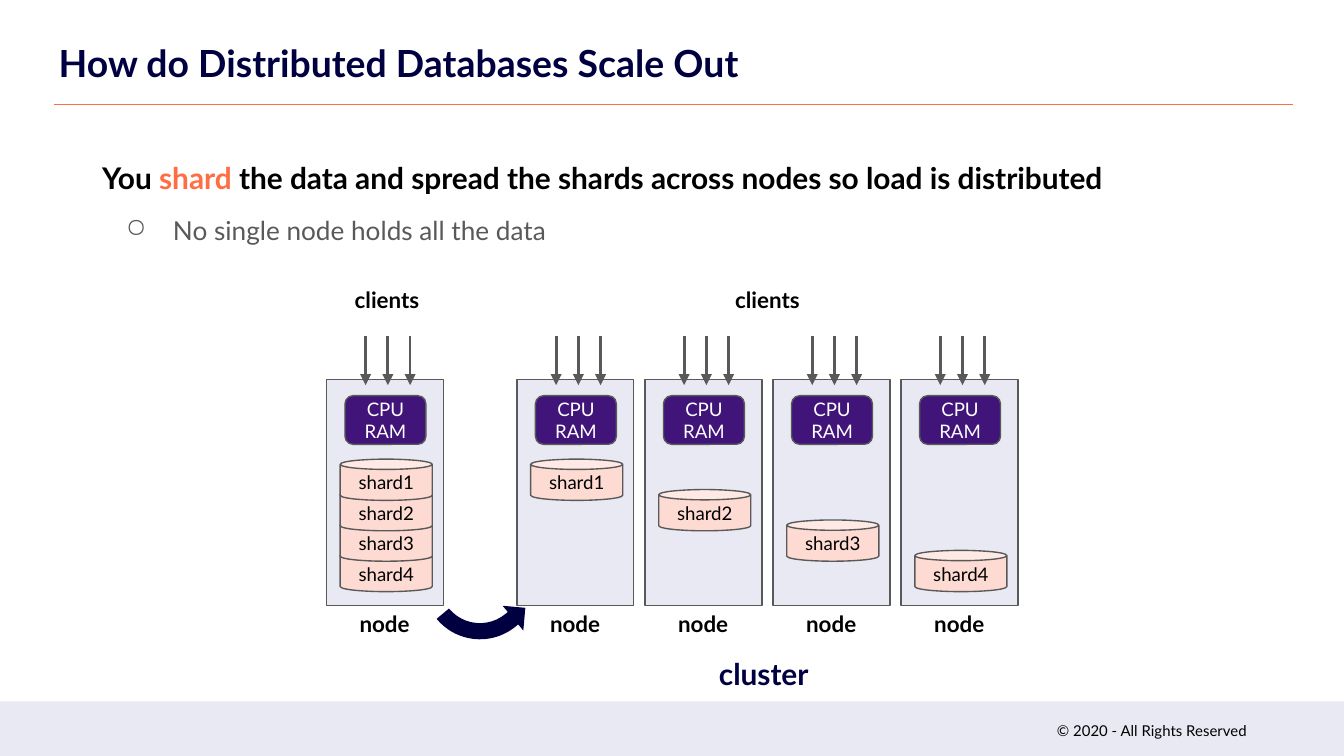
from lxml.etree import SubElement
from pptx import Presentation
from pptx.dml.color import RGBColor
from pptx.enum.shapes import MSO_CONNECTOR, MSO_SHAPE
from pptx.enum.text import MSO_ANCHOR, MSO_AUTO_SIZE, PP_ALIGN
from pptx.oxml.ns import qn
from pptx.util import Cm, Pt

NAVY = RGBColor(0x00, 0x00, 0x41)
ORANGE = RGBColor(0xFF, 0x6E, 0x42)
PURPLE = RGBColor(0x41, 0x14, 0x7A)
PEACH = RGBColor(0xFE, 0xDB, 0xD2)
LAVENDER = RGBColor(0xE8, 0xE9, 0xF3)
GRAY = RGBColor(0x59, 0x59, 0x59)
BLACK = RGBColor(0x00, 0x00, 0x00)
WHITE = RGBColor(0xFF, 0xFF, 0xFF)

prs = Presentation()
prs.slide_width, prs.slide_height = Cm(25.4), Cm(14.29)
s = prs.slides.add_slide(prs.slide_layouts[5])


def write(sp, runs, size, bold=False, align=PP_ALIGN.CENTER, anchor=MSO_ANCHOR.TOP):
    """Fill sp with one paragraph of (text, colour) runs; a None run is a line break."""
    tf = sp.text_frame
    tf.word_wrap = True
    tf.auto_size = MSO_AUTO_SIZE.NONE
    tf.vertical_anchor = anchor
    tf.margin_left = tf.margin_right = tf.margin_top = tf.margin_bottom = Cm(0.25)
    p = tf.paragraphs[0]
    p.alignment = align
    for run in runs:
        if run is None:
            p.add_line_break()
            continue
        r = p.add_run()
        r.text, r.font.color.rgb = run
        r.font.name, r.font.size, r.font.bold = "Lato", Pt(size), bold
    return p


def add_box(kind, x, y, w, h, fill, outline=True):
    sp = s.shapes.add_shape(kind, Cm(x), Cm(y), Cm(w), Cm(h))
    sp.shadow.inherit = False
    sp.fill.solid()
    sp.fill.fore_color.rgb = fill
    if outline:
        sp.line.color.rgb = GRAY
        sp.line.width = Pt(0.75)
    else:
        sp.line.fill.background()
    return sp


# Footer
add_box(MSO_SHAPE.RECTANGLE, 0, 13.26, 25.4, 1.03, LAVENDER, outline=False)
footer = s.shapes.add_textbox(Cm(18.54), Cm(13.36), Cm(5.28), Cm(0.91))
write(footer, [("© 2020 - All Rights Reserved", BLACK)], 8,
      align=PP_ALIGN.RIGHT, anchor=MSO_ANCHOR.MIDDLE)

# Title, subtitle and bullet
title = s.shapes.title
title.left, title.top, title.width, title.height = Cm(0.86), Cm(0.51), Cm(23.67), Cm(1.6)
write(title, [("How do Distributed Databases Scale Out", NAVY)], 20, True, PP_ALIGN.LEFT)

subtitle = s.shapes.add_textbox(Cm(1.68), Cm(2.24), Cm(22.07), Cm(1.88))
p = write(subtitle, [
    ("You ", BLACK),
    ("shard", ORANGE),
    (" the data and spread the shards across nodes so load is distributed", BLACK),
], 16, True, PP_ALIGN.LEFT, MSO_ANCHOR.MIDDLE)
p.line_spacing = 1.15
subtitle.text_frame.margin_bottom = 0

body = s.shapes.add_textbox(Cm(1.75), Cm(3.71), Cm(10.8), Cm(1.6))
p = write(body, [("No single node holds all the data", GRAY)], 14, align=PP_ALIGN.LEFT)
p.line_spacing = 1.15
pPr = p._p.get_or_add_pPr()
pPr.set("marL", str(Cm(1.27)))
pPr.set("indent", str(Cm(-0.89)))
bullet_color = SubElement(pPr, qn("a:buClr"))
SubElement(bullet_color, qn("a:srgbClr")).set("val", str(GRAY))
SubElement(pPr, qn("a:buChar")).set("char", "○")

# Labels
for text, x, y, w, size, color in [
    ("clients", 6.35, 5.16, 1.93, 12, BLACK),
    ("clients", 13.54, 5.16, 1.93, 12, BLACK),
    ("cluster", 13, 12.14, 2.87, 16, NAVY),
]:
    label = s.shapes.add_textbox(Cm(x), Cm(y), Cm(w), Cm(0.91))
    write(label, [(text, color)], size, True)

# Single node with every shard, then a cluster with one shard per node
lines = [(1.02, 1.98, 24.43, 1.98)]
nodes = [(6.17, [4, 3, 2, 1])] + [(9.77 + 2.42 * i, [i + 1]) for i in range(4)]
for x, shards in nodes:
    add_box(MSO_SHAPE.RECTANGLE, x, 7.18, 2.21, 4.27, LAVENDER)
    label = s.shapes.add_textbox(Cm(x - 0.45), Cm(11.28), Cm(3.1), Cm(0.91))
    write(label, [("node", BLACK)], 12, True)
    cpu = add_box(MSO_SHAPE.ROUNDED_RECTANGLE, x + 0.35, 7.48, 1.53, 0.92, PURPLE)
    write(cpu, [("CPU", WHITE), None, ("RAM", WHITE)], 10, anchor=MSO_ANCHOR.MIDDLE)
    for n in shards:
        shard = add_box(MSO_SHAPE.CAN, x + 0.26, 8.68 + 0.575 * (n - 1), 1.74, 0.78, PEACH)
        write(shard, [(f"shard{n}", BLACK)], 10, anchor=MSO_ANCHOR.MIDDLE)
    for i in range(3):
        client_x = x + 0.74 + 0.42 * i
        lines.append((client_x, 6.35, client_x, 7.28))

# Title rule and client arrows
for i, (x1, y1, x2, y2) in enumerate(lines):
    line = s.shapes.add_connector(MSO_CONNECTOR.STRAIGHT, Cm(x1), Cm(y1), Cm(x2), Cm(y2))
    line.line.color.rgb = GRAY if i else ORANGE
    line.line.width = Pt(1.5 if i else 0.75)
    if i:
        SubElement(line.line._get_or_add_ln(), qn("a:tailEnd")).set("type", "triangle")
    SubElement(line._element.spPr, qn("a:effectLst"))

# Curved arrow from the single node to the cluster
arrow = add_box(MSO_SHAPE.BENT_ARROW, 8.48, 11.1, 1.42, 1.22, NAVY, outline=False)
arrow.adjustments[3] = 0.87
arrow.rotation = 140.1
arrow._element.spPr.find(qn("a:xfrm")).set("flipH", "1")

prs.save("out.pptx")
